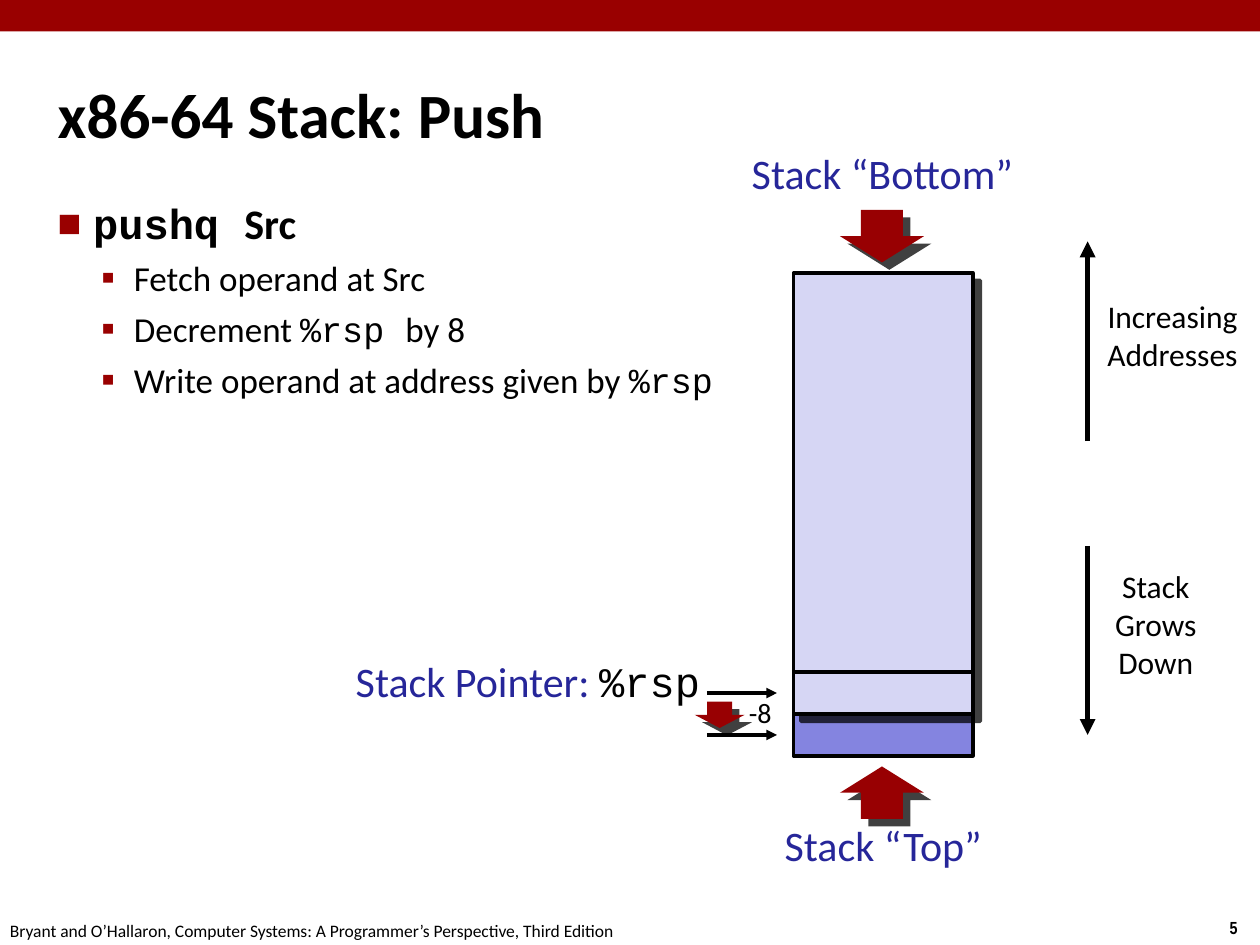
from dataclasses import dataclass
from typing import Optional

from lxml import etree
from pptx import Presentation
from pptx.dml.color import RGBColor
from pptx.enum.shapes import MSO_CONNECTOR, MSO_SHAPE
from pptx.enum.text import MSO_ANCHOR, PP_ALIGN
from pptx.oxml.ns import qn
from pptx.util import Pt

LEFT, CENTER, RIGHT = PP_ALIGN.LEFT, PP_ALIGN.CENTER, PP_ALIGN.RIGHT
TOP, MIDDLE = MSO_ANCHOR.TOP, MSO_ANCHOR.MIDDLE
RECT, DOWN, UP = MSO_SHAPE.RECTANGLE, MSO_SHAPE.DOWN_ARROW, MSO_SHAPE.UP_ARROW
STRAIGHT = MSO_CONNECTOR.STRAIGHT


@dataclass(frozen=True)
class Theme:
    sans: str = "Calibri"
    narrow: str = "Arial Narrow"
    mono: str = "Courier New"
    black: str = "000000"
    white: str = "FFFFFF"
    banner: str = "990000"
    block_arrow: str = "980002"
    blue: str = "262699"
    stack: str = "D6D6F4"
    pushed: str = "8484E0"
    title: float = 36
    heading: float = 24
    bullet: float = 20
    axis: float = 18
    offset: float = 16
    footer: float = 10


THEME = Theme()


@dataclass(frozen=True)
class Box:
    left: float
    top: float
    width: float
    height: float

    def emu(self) -> tuple:
        return Pt(self.left), Pt(self.top), Pt(self.width), Pt(self.height)


@dataclass(frozen=True)
class Span:
    text: str
    size: float
    color: str = THEME.black
    font: str = THEME.sans
    bold: bool = False


@dataclass(frozen=True)
class Bullet:
    char: str
    percent: int
    margin: float
    hanging: float
    space: float


@dataclass(frozen=True)
class Label:
    box: Box
    lines: list
    align: PP_ALIGN = CENTER
    fill: Optional[str] = None


@dataclass(frozen=True)
class Block:
    box: Box
    fill: str
    preset: MSO_SHAPE = RECT
    outline: float = 0
    shadow: bool = False


@dataclass(frozen=True)
class Line:
    x1: float
    y1: float
    x2: float
    y2: float
    width: float = 2
    arrow: bool = True


def add_node(parent, tag: str, **attributes):
    return etree.SubElement(parent, qn(tag), attributes)


def write_spans(paragraph, spans: list) -> None:
    for span in spans:
        run = paragraph.add_run()
        run.text = span.text
        run.font.size = Pt(span.size)
        run.font.name = span.font
        run.font.bold = span.bold
        run.font.color.rgb = RGBColor.from_string(span.color)


def add_text(slide, box: Box, lines: list, align=LEFT, anchor=TOP, inset: float = 0):
    text_box = slide.shapes.add_textbox(*box.emu())
    frame = text_box.text_frame
    frame.word_wrap = True
    frame.vertical_anchor = anchor
    frame.margin_left = frame.margin_right = Pt(inset)
    frame.margin_top = frame.margin_bottom = Pt(inset)
    for index, spans in enumerate(lines):
        paragraph = frame.paragraphs[0] if index == 0 else frame.add_paragraph()
        paragraph.alignment = align
        write_spans(paragraph, spans)
    return text_box


def add_label(slide, label: Label) -> None:
    text_box = add_text(slide, label.box, label.lines, label.align)
    if label.fill:
        text_box.fill.solid()
        text_box.fill.fore_color.rgb = RGBColor.from_string(label.fill)


def set_bullet(paragraph, bullet: Bullet, first: bool) -> None:
    props = paragraph._p.get_or_add_pPr()
    props.set("marL", str(Pt(bullet.margin)))
    props.set("indent", str(-Pt(bullet.hanging)))
    add_node(add_node(props, "a:buClr"), "a:srgbClr", val=THEME.banner)
    add_node(props, "a:buSzPct", val=str(bullet.percent * 1000))
    add_node(props, "a:buFont", typeface=THEME.sans)
    add_node(props, "a:buChar", char=bullet.char)
    if not first:
        paragraph.space_before = Pt(bullet.space)


def add_block(slide, block: Block) -> None:
    shape = slide.shapes.add_shape(block.preset, *block.box.emu())
    shape.shadow.inherit = False
    shape.fill.solid()
    shape.fill.fore_color.rgb = RGBColor.from_string(block.fill)
    if block.outline:
        shape.line.color.rgb = RGBColor.from_string(THEME.black)
        shape.line.width = Pt(block.outline)
    else:
        shape.line.fill.background()
    if block.shadow:
        effects = shape._element.spPr.find(qn("a:effectLst"))
        cast = add_node(effects, "a:outerShdw", blurRad="0", dist=str(Pt(6)),
                        dir="2700000", algn="ctr", rotWithShape="0")
        color = add_node(cast, "a:srgbClr", val=THEME.black)
        add_node(color, "a:alpha", val="75000")


def add_line(slide, line: Line) -> None:
    ends = [Pt(value) for value in (line.x1, line.y1, line.x2, line.y2)]
    connector = slide.shapes.add_connector(STRAIGHT, *ends)
    connector.line.color.rgb = RGBColor.from_string(THEME.black)
    connector.line.width = Pt(line.width)
    if line.arrow:
        add_node(connector.line._get_or_add_ln(), "a:tailEnd", type="triangle")
    add_node(connector._element.spPr, "a:effectLst")


def main() -> None:
    deck = Presentation()
    deck.slide_width, deck.slide_height = Pt(720), Pt(540)
    slide = deck.slides.add_slide(deck.slide_layouts[6])

    add_block(slide, Block(Box(0, 0, 720, 18), THEME.banner))
    add_text(slide, Box(30, 20, 660, 90),
             [[Span("x86-64 Stack: Push", THEME.title, bold=True)]], anchor=MIDDLE, inset=3)

    def step(text: str, font: str = THEME.sans) -> Span:
        return Span(text, THEME.bullet, font=font)

    steps = [
        [Span("pushq ", THEME.heading, font=THEME.mono, bold=True),
         Span("Src", THEME.heading, bold=True)],
        [step("Fetch operand at Src")],
        [step("Decrement "), step("%rsp ", THEME.mono), step("by 8")],
        [step("Write operand at address given by "), step("%rsp", THEME.mono)],
    ]
    body = add_text(slide, Box(30, 110, 660, 428), steps, inset=3)
    instruction = Bullet("■", 60, 20.25, 20.25, 6)
    action = Bullet("▪", 110, 43.5, 18.5, 5)
    for index, paragraph in enumerate(body.text_frame.paragraphs):
        set_bullet(paragraph, action if index else instruction, index == 0)

    stack_left, stack_top, stack_width, stack_bottom, word = 453.5, 156, 102.5, 408, 24
    pointer, axis = 404, 621.5
    old_top = stack_bottom - word / 2
    for block in (
        Block(Box(stack_left, stack_bottom, stack_width, word), THEME.pushed, outline=2),
        Block(Box(397, 401, 28.5, 15), THEME.block_arrow, DOWN, shadow=True),
        Block(Box(stack_left, stack_top, stack_width, stack_bottom - stack_top),
              THEME.stack, outline=2, shadow=True),
        Block(Box(480, 120, 48, 30), THEME.block_arrow, DOWN, shadow=True),
        Block(Box(480, 438, 48, 30), THEME.block_arrow, UP, shadow=True),
    ):
        add_block(slide, block)

    for line in (
        Line(pointer, old_top, 444, old_top),
        Line(pointer, old_top + word, 444, old_top + word),
        Line(stack_left, stack_bottom - word, stack_left + stack_width,
             stack_bottom - word, arrow=False),
        Line(axis, 312, axis, 420, 3),
        Line(axis, 252, axis, 138, 3),
    ):
        add_line(slide, line)

    citation = ("Bryant and O’Hallaron, Computer Systems: "
                "A Programmer’s Perspective, Third Edition")
    for label in (
        Label(Box(424.5, 397.5, 20, 22), [[Span("-8", THEME.offset)]]),
        Label(Box(628.5, 324, 64, 72),
              [[Span("Stack Grows", THEME.axis)], [Span("Down", THEME.axis)]], fill=THEME.white),
        Label(Box(629, 170, 82, 50),
              [[Span("Increasing", THEME.axis)], [Span("Addresses", THEME.axis)]],
              fill=THEME.white),
        Label(Box(424, 84, 160.5, 35), [[Span("Stack “Bottom”", THEME.heading, THEME.blue)]]),
        Label(Box(443.5, 468, 122.5, 35), [[Span("Stack “Top”", THEME.heading, THEME.blue)]]),
        Label(Box(200, 374.5, 200, 29),
              [[Span("Stack Pointer: ", THEME.heading, THEME.blue),
                Span("%rsp", THEME.heading, font=THEME.mono)]], RIGHT),
        Label(Box(0, 525.5, 356, 13), [[Span(citation, THEME.footer)]]),
        Label(Box(695, 524, 20, 13),
              [[Span("5", THEME.footer, font=THEME.narrow, bold=True)]]),
    ):
        add_label(slide, label)

    deck.save("out.pptx")


if __name__ == "__main__":
    main()
